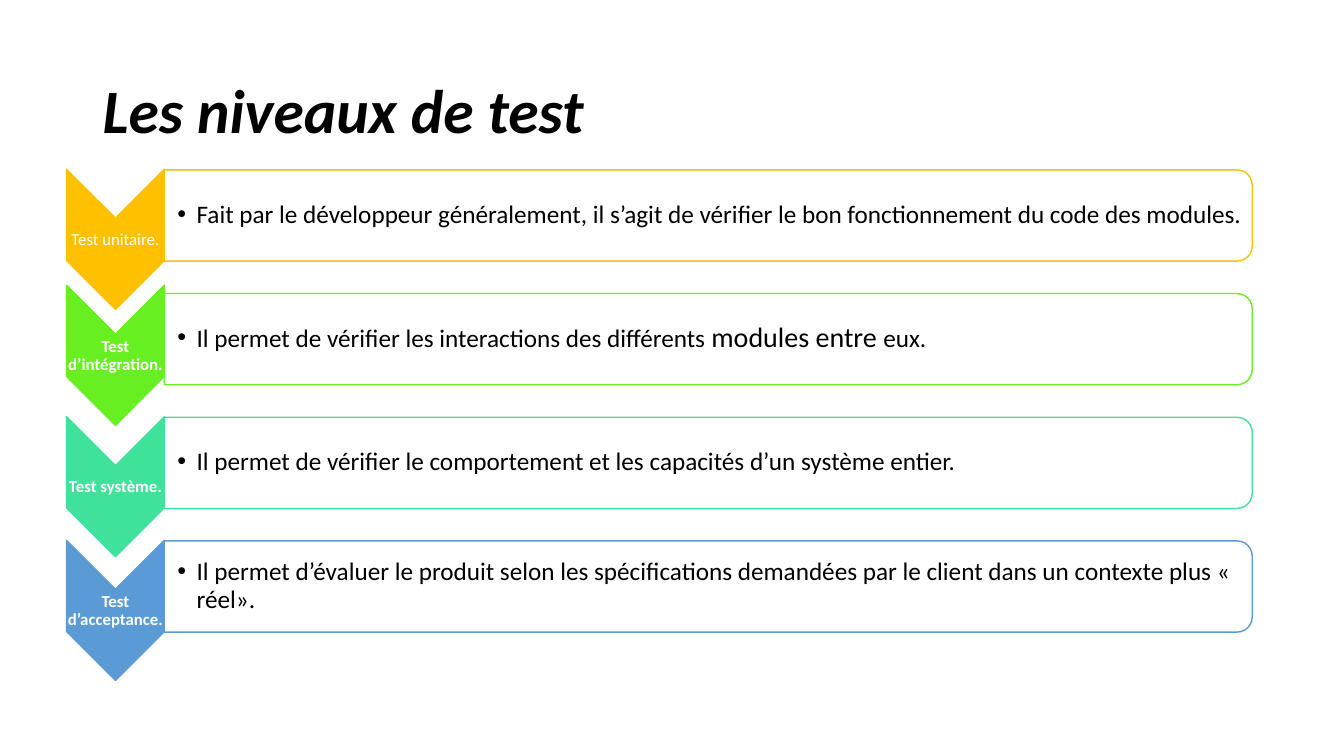
from dataclasses import dataclass

from lxml.etree import SubElement
from pptx import Presentation
from pptx.dml.color import RGBColor
from pptx.enum.shapes import MSO_SHAPE
from pptx.enum.text import MSO_ANCHOR, PP_ALIGN
from pptx.oxml.ns import qn
from pptx.shapes.autoshape import Shape
from pptx.slide import Slide
from pptx.text.text import _Paragraph as Paragraph
from pptx.util import Inches, Pt

SLIDE_WIDTH = Inches(13.33)
SLIDE_HEIGHT = Inches(7.5)
ROW_PITCH = 16.36
FONT = "Calibri"
BLACK = "000000"
WHITE = "FFFFFF"


@dataclass(frozen=True)
class Area:
    """A rectangle in percent of the slide's width and height."""

    left: float
    top: float
    width: float
    height: float

    def lowered(self, distance: float) -> "Area":
        return Area(self.left, self.top + distance, self.width, self.height)

    def lengths(self) -> tuple[int, int, int, int]:
        return (
            round(SLIDE_WIDTH * self.left / 100),
            round(SLIDE_HEIGHT * self.top / 100),
            round(SLIDE_WIDTH * self.width / 100),
            round(SLIDE_HEIGHT * self.height / 100),
        )


@dataclass(frozen=True)
class Segment:
    text: str
    size: int = 18
    bold: bool = False
    italic: bool = False


@dataclass(frozen=True)
class TestLevel:
    label: Segment
    description: tuple[Segment, ...]
    color: str
    chevron_shift: float = 0


TITLE = Area(6.9, 5.33, 86.25, 19.33)
CHEVRON = Area(4.95, 22.4, 7.28, 18.53)
LABEL = Area(4.95, 28.93, 7.28, 5.6)
BAR = Area(12.22, 22.47, 80.95, 12.07)
DESCRIPTION = Area(12.15, 23.07, 80.65, 10.8)

LEVELS = (
    TestLevel(
        Segment("Test unitaire.", 12),
        (Segment("Fait par le développeur généralement, il s’agit de vérifier "
                 "le bon fonctionnement du code des modules."),),
        "FFC000",
    ),
    TestLevel(
        Segment("Test d’intégration.", 12, bold=True),
        (Segment("Il permet de vérifier les interactions des différents "),
         Segment("modules entre ", 20),
         Segment("eux.")),
        "67EF21",
        chevron_shift=-1.03,
    ),
    TestLevel(
        Segment("Test système.", 12, bold=True),
        (Segment("Il permet de vérifier le comportement et les capacités "
                 "d’un système entier."),),
        "3FE19B",
    ),
    TestLevel(
        Segment("Test d’acceptance.", 12, bold=True),
        (Segment("Il permet d’évaluer le produit selon les spécifications "
                 "demandées par le client dans un contexte plus «  réel»."),),
        "5B9BD5",
    ),
)


def rgb(color: str) -> RGBColor:
    return RGBColor.from_string(color)


def add_turned_shape(slide: Slide, kind: MSO_SHAPE, area: Area, fill: str, line: str) -> Shape:
    """Add a shape turned a quarter clockwise that covers the area."""
    left, top, width, height = area.lengths()
    offset = (width - height) // 2
    shape = slide.shapes.add_shape(kind, left + offset, top - offset, height, width)
    shape.rotation = 90
    shape.shadow.inherit = False
    shape.fill.solid()
    shape.fill.fore_color.rgb = rgb(fill)
    shape.line.color.rgb = rgb(line)
    shape.line.width = Pt(1)
    return shape


def set_opacity(shape: Shape, percent: int) -> None:
    color = shape._element.spPr.find(qn("a:solidFill")).find(qn("a:srgbClr"))
    SubElement(color, qn("a:alpha")).set("val", str(percent * 1000))


def add_text(slide: Slide, area: Area, segments: tuple[Segment, ...], color: str,
             left_margin: float, margin: float) -> Paragraph:
    frame = slide.shapes.add_textbox(*area.lengths()).text_frame
    frame.word_wrap = True
    frame.vertical_anchor = MSO_ANCHOR.MIDDLE
    frame.margin_left = Inches(left_margin)
    frame.margin_top = frame.margin_right = frame.margin_bottom = Inches(margin)
    paragraph = frame.paragraphs[0]
    paragraph.line_spacing = 0.9
    for segment in segments:
        run = paragraph.add_run()
        run.text = segment.text
        run.font.name = FONT
        run.font.size = Pt(segment.size)
        run.font.bold = segment.bold
        run.font.italic = segment.italic
        run.font.color.rgb = rgb(color)
    return paragraph


def add_bullet(paragraph: Paragraph, indent: float) -> None:
    properties = paragraph._p.get_or_add_pPr()
    properties.set("marL", str(Inches(indent)))
    properties.set("indent", str(-Inches(indent)))
    SubElement(properties, qn("a:buFont")).set("typeface", "Arial")
    SubElement(properties, qn("a:buChar")).set("char", "•")


def add_level(slide: Slide, level: TestLevel, row: int) -> None:
    bar_drop = row * ROW_PITCH
    chevron_drop = bar_drop + level.chevron_shift
    add_turned_shape(slide, MSO_SHAPE.CHEVRON, CHEVRON.lowered(chevron_drop),
                     level.color, level.color)
    label = add_text(slide, LABEL.lowered(chevron_drop), (level.label,), WHITE, 0.01, 0.01)
    label.alignment = PP_ALIGN.CENTER
    bar = add_turned_shape(slide, MSO_SHAPE.ROUND_2_SAME_RECTANGLE,
                           BAR.lowered(bar_drop), WHITE, level.color)
    set_opacity(bar, 90)
    description = add_text(slide, DESCRIPTION.lowered(bar_drop), level.description,
                           BLACK, 0.14, 0.01)
    add_bullet(description, 0.19)


def main() -> None:
    presentation = Presentation()
    presentation.slide_width = SLIDE_WIDTH
    presentation.slide_height = SLIDE_HEIGHT
    slide = presentation.slides.add_slide(presentation.slide_layouts[6])
    title = Segment("Les niveaux de test", 44, bold=True, italic=True)
    add_text(slide, TITLE, (title,), BLACK, 0.1, 0.05)
    for row, level in enumerate(LEVELS):
        add_level(slide, level, row)
    presentation.save("out.pptx")


if __name__ == "__main__":
    main()
